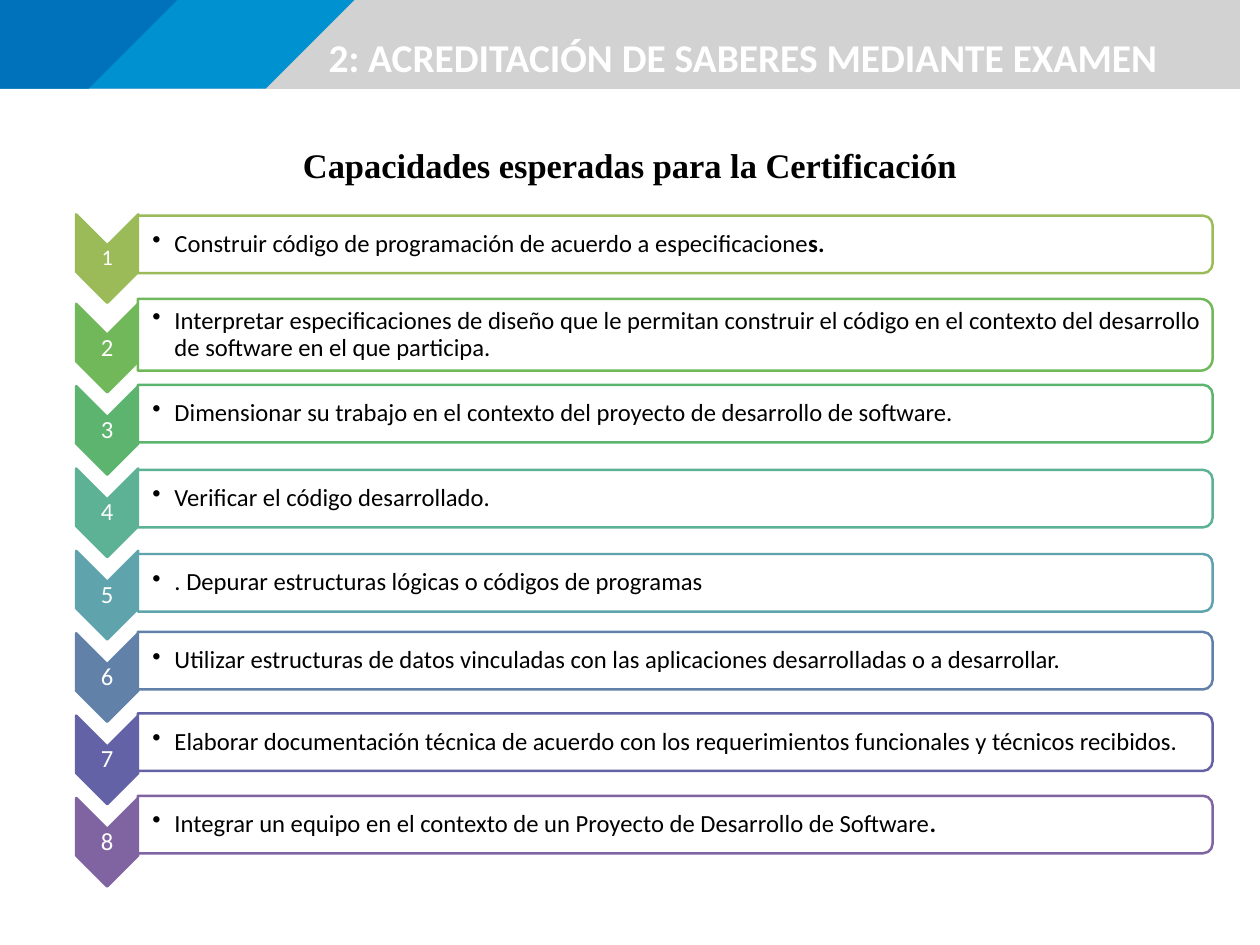
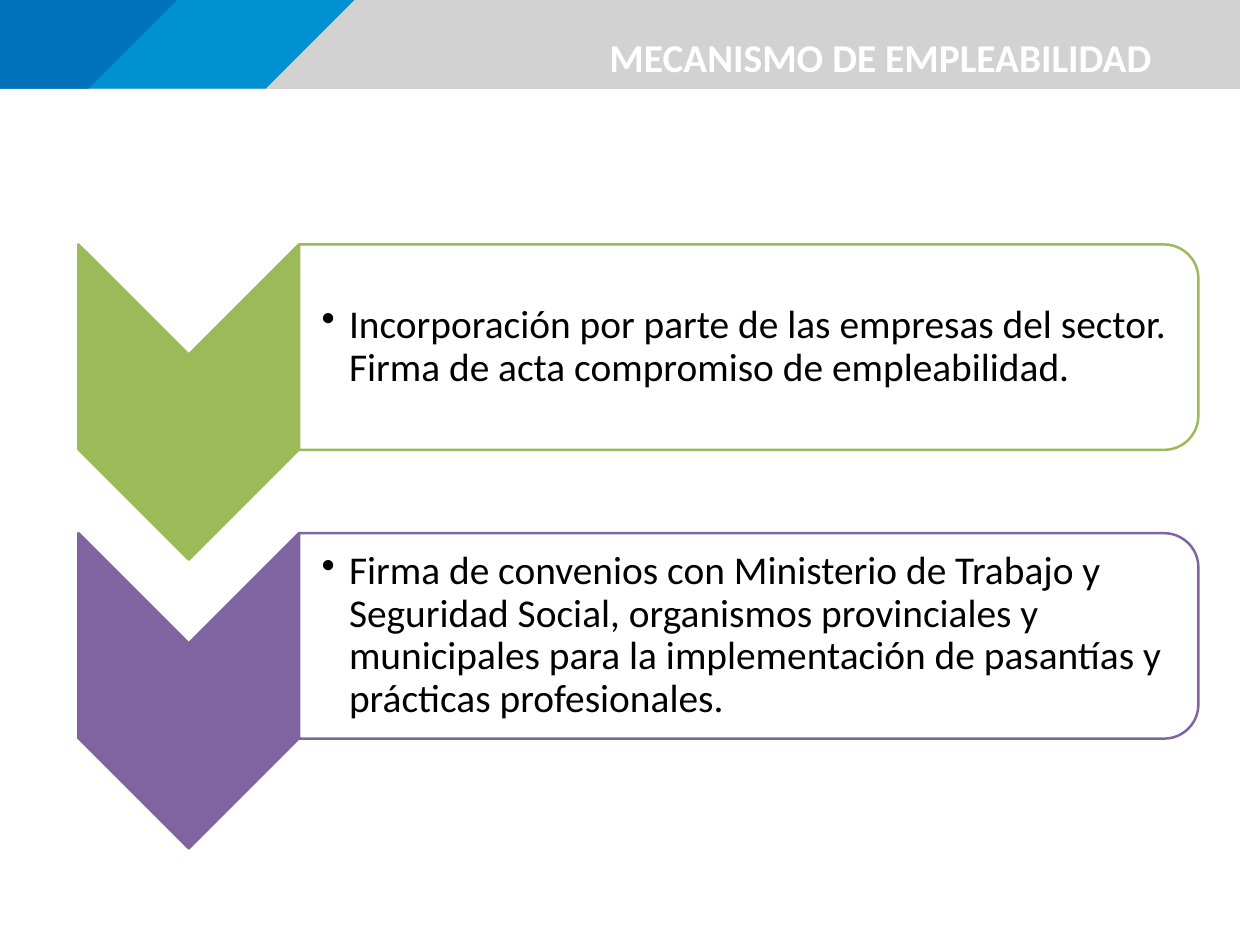
import pptx
import pptx.util
import pptx.dml.color
import pptx.enum.shapes
import pptx.enum.text
import lxml.etree

Inches = pptx.util.Inches
Shape = pptx.enum.shapes.MSO_SHAPE
Align = pptx.enum.text.PP_ALIGN
Anchor = pptx.enum.text.MSO_ANCHOR

WIDE, HIGH = 14.22, 10.67
BAND = 1.24
HUES = {
    "white": "FFFFFF", "black": "000000",
    "gray": "D2D2D3", "sky": "0091D1", "blue": "0071BB",
    "lime": "9BBB59", "leaf": "70B85A", "green": "5CB46F", "mint": "5DB195",
    "teal": "5FA4AD", "steel": "6181A9", "indigo": "6362A6", "plum": "8064A2",
}
COLORS = {name: pptx.dml.color.RGBColor.from_string(code)
          for name, code in HUES.items()}


def text(slide, words, box, size=20, font="Calibri", color="black", bold=False,
         tail="", align=Align.LEFT, anchor=Anchor.MIDDLE,
         pads=(0.1, 0.05), spacing=None, bullet=0):
    """Add a text box; tail is a bold ending, bullet is its indent in inches."""
    frame = slide.shapes.add_textbox(*map(Inches, box)).text_frame
    frame.word_wrap = True
    frame.vertical_anchor = anchor
    frame.margin_left = Inches(pads[0])
    frame.margin_right = Inches(min(pads))
    frame.margin_top = frame.margin_bottom = Inches(pads[1])
    para = frame.paragraphs[0]
    para.alignment = align
    para.line_spacing = spacing
    for part, heavy in ((words, bold), (tail, True)):
        if part:
            run = para.add_run()
            run.text = part
            run.font.size = pptx.util.Pt(size)
            run.font.name = font
            run.font.bold = heavy
            run.font.color.rgb = COLORS[color]
    if bullet:
        props = para._p.get_or_add_pPr()
        props.set("marL", str(Inches(bullet)))
        props.set("indent", str(-Inches(bullet)))
        mark = lxml.etree.SubElement(props, pptx.oxml.ns.qn("a:buChar"))
        mark.set("char", "•")


def turned(slide, kind, center, length, breadth, fill, line):
    """Add a preset shape turned a quarter clockwise about its center."""
    x, y = center
    shape = slide.shapes.add_shape(
        kind, Inches(x - length / 2), Inches(y - breadth / 2),
        Inches(length), Inches(breadth))
    shape.rotation = 90
    shape.shadow.inherit = False
    shape.fill.solid()
    shape.fill.fore_color.rgb = COLORS[fill]
    shape.line.color.rgb = COLORS[line]
    shape.line.width = pptx.util.Pt(2)


deck = pptx.Presentation()
deck.slide_width, deck.slide_height = Inches(WIDE), Inches(HIGH)

# Shared header: each band has a top and a bottom width
bands = [("gray", WIDE, WIDE), ("sky", 4.18, 2.93), ("blue", 2.26, 1)]
heads = [("2: ACREDITACIÓN DE SABERES MEDIANTE EXAMEN", 3.61),
         ("MECANISMO DE EMPLEABILIDAD", 6.78)]
for title, left in heads:
    slide = deck.slides.add_slide(deck.slide_layouts[6])
    for color, top, base in bands:
        pen = slide.shapes.build_freeform(0, 0, scale=Inches(1))
        pen.add_line_segments([(top, 0), (base, BAND), (0, BAND)])
        band = pen.convert_to_shape()
        band.shadow.inherit = False
        band.fill.solid()
        band.fill.fore_color.rgb = COLORS[color]
        band.line.fill.background()
    text(slide, title, (left, 0.33, 13.69 - left, 0.64), size=32,
         color="white", bold=True, anchor=Anchor.TOP)
skills, jobs = deck.slides

# Expected skills: color, panel center, panel height, words, bold ending
text(skills, "Capacidades esperadas para la Certificación",
     (3.32, 1.58, 7.92, 0.57), size=28, font="Times New Roman", bold=True)
rows = [
    ("lime", 2.76, 0.65,
     "Construir código de programación de acuerdo a especificacione", "s."),
    ("leaf", 3.78, 0.81,
     "Interpretar especificaciones de diseño que le permitan construir el "
     "código en el contexto del desarrollo de software en el que participa.", ""),
    ("green", 4.67, 0.65,
     "Dimensionar su trabajo en el contexto del proyecto de desarrollo de "
     "software.", ""),
    ("mint", 5.63, 0.65, "Verificar el código desarrollado.", ""),
    ("teal", 6.58, 0.65,
     ". Depurar estructuras lógicas o códigos de programas", ""),
    ("steel", 7.46, 0.65,
     "Utilizar estructuras de datos vinculadas con las aplicaciones "
     "desarrolladas o a desarrollar.", ""),
    ("indigo", 8.38, 0.65,
     "Elaborar documentación técnica de acuerdo con los requerimientos "
     "funcionales y técnicos recibidos.", ""),
    ("plum", 9.31, 0.65,
     "Integrar un equipo en el contexto de un Proyecto de Desarrollo de "
     "Software", "."),
]
for i, (color, mid, tall, words, tail) in enumerate(rows):
    tip = 3 + 0.93 * i if i else 2.92
    turned(skills, Shape.CHEVRON, (1.21, tip), 1, 0.7, color, color)
    text(skills, str(i + 1), (0.86, tip - 0.15, 0.7, 0.3),
         size=20 if i else 18, color="white", align=Align.CENTER,
         pads=(0.01, 0.01), spacing=0.9)
    turned(skills, Shape.ROUND_2_SAME_RECTANGLE, (7.62, mid), tall, 12.13,
           "white", color)
    text(skills, words, (1.56, mid - 0.3, 12.1, 0.6), tail=tail,
         pads=(0.16, 0.01), spacing=0.9, bullet=0.25)

# Employment paths
paths = [
    ("lime", "Incorporación por parte de las empresas del sector. Firma de "
     "acta compromiso de empleabilidad."),
    ("plum", "Firma de convenios con Ministerio de Trabajo y Seguridad Social, "
     "organismos provinciales y municipales para la implementación de "
     "pasantías y prácticas profesionales."),
]
for i, (color, words) in enumerate(paths):
    mid = 3.92 + 3.26 * i
    turned(jobs, Shape.CHEVRON, (2.13, mid + 0.62), 3.56, 2.49, color, color)
    turned(jobs, Shape.ROUND_2_SAME_RECTANGLE, (8.45, mid), 2.32, 10.15,
           "white", color)
    text(jobs, words, (3.38, mid - 1.05, 10.04, 2.1), size=32,
         pads=(0.25, 0.02), spacing=0.9, bullet=0.31)

deck.save("out.pptx")
